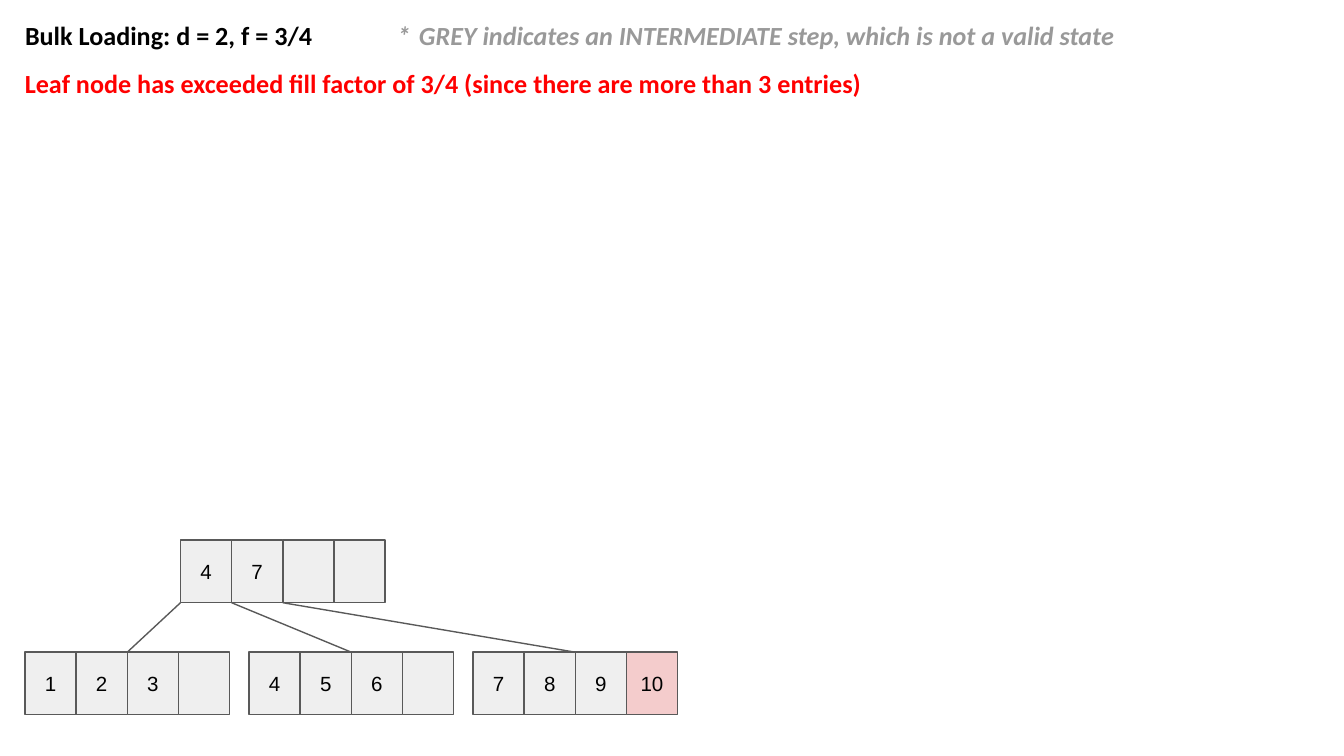
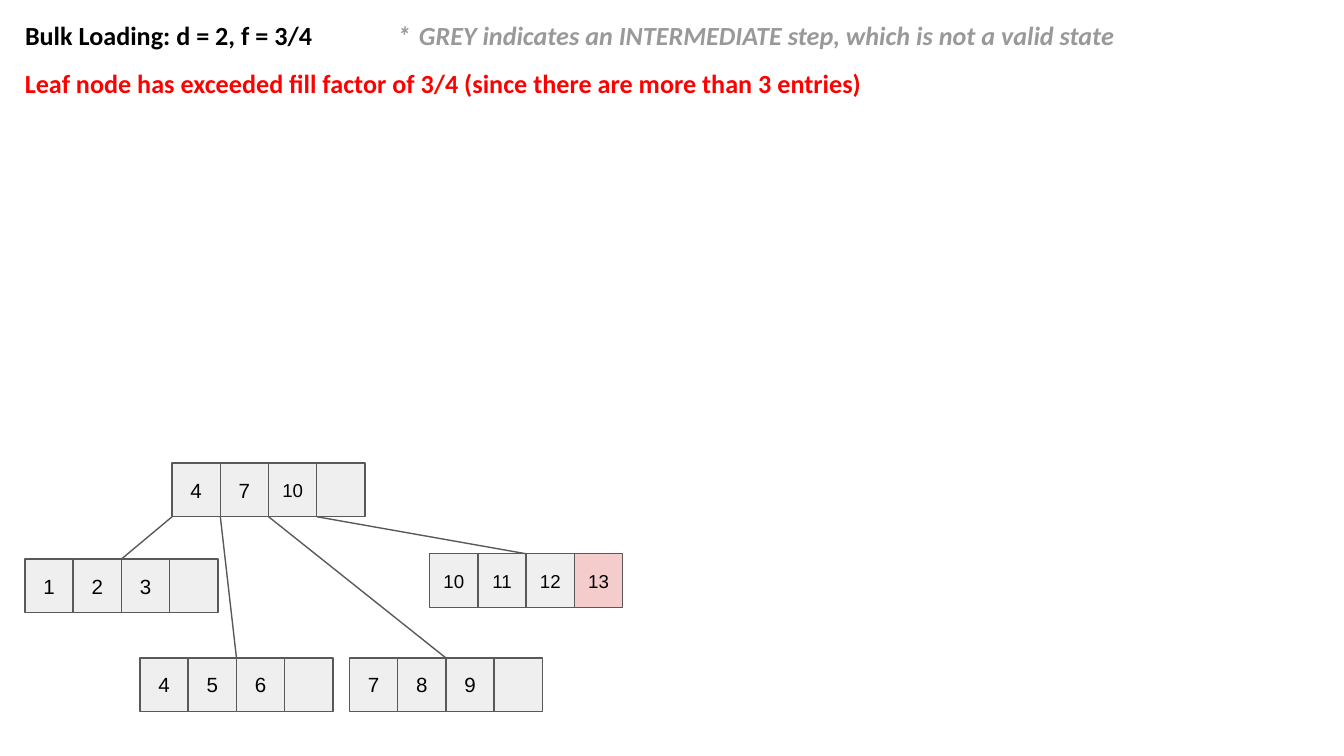
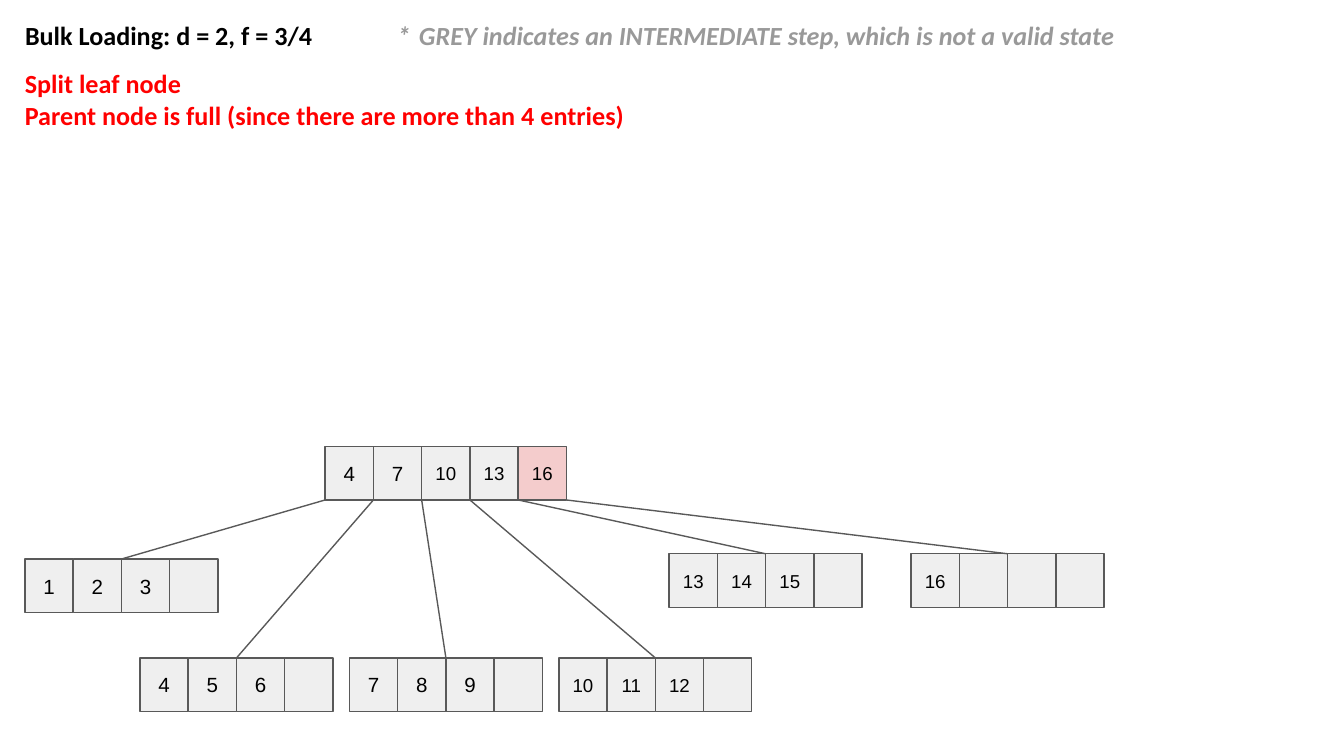
from lxml import etree
from pptx import Presentation
from pptx import util as u
from pptx.dml.color import RGBColor
from pptx.enum import shapes, text
from pptx.oxml.ns import qn

BLACK, GREY, RED = "000000", "999999", "FF0000"
CELL_FILL, OVERFLOW_FILL, OUTLINE = "EFEFEF", "F4CCCC", "595959"
HEADING = [
    ("Bulk Loading: d = 2, f = 3/4", BLACK, False),
    ("\t*\tGREY indicates an INTERMEDIATE step, which is not a valid state", GREY, True),
]
HEADING_TABS = [199.5, 211]
EXCEEDED = "Leaf node has exceeded fill factor of 3/4 (since there are more than 3 entries)"
LEAF_LEFT, LEAF_STEP = 13.4, 112.2
UPPER_LEAF, LOWER_LEAF = 299.5, 352.5

# Each node is (left, top, keys, overflowing key); the first is the parent.
TREES = [
    {
        "messages": [EXCEEDED],
        "cell": (27.4, 33.5),
        "two_digit_size": 11,
        "nodes": [
            (96.7, 289.4, ["4", "7", "", ""], None),
            (LEAF_LEFT, 349.4, ["1", "2", "3", ""], None),
            (LEAF_LEFT + 120, 349.4, ["4", "5", "6", ""], None),
            (LEAF_LEFT + 240, 349.4, ["7", "8", "9", "10"], "10"),
        ],
    },
    {
        "messages": [EXCEEDED],
        "cell": (25.85, 28.75),
        "two_digit_size": 10,
        "nodes": [
            (92.2, 248.1, ["4", "7", "10", ""], None),
            (LEAF_LEFT, UPPER_LEAF, ["1", "2", "3", ""], None),
            (75, LOWER_LEAF, ["4", "5", "6", ""], None),
            (75 + LEAF_STEP, LOWER_LEAF, ["7", "8", "9", ""], None),
            (230.2, 296.7, ["10", "11", "12", "13"], "13"),
        ],
    },
    {
        "messages": [
            "Split leaf node",
            "Parent node is full (since there are more than 4 entries)",
        ],
        "cell": (25.85, 28.75),
        "two_digit_size": 10,
        "nodes": [
            (174.2, 239.1, ["4", "7", "10", "13", "16"], "16"),
            (LEAF_LEFT, UPPER_LEAF, ["1", "2", "3", ""], None),
            (75, LOWER_LEAF, ["4", "5", "6", ""], None),
            (75 + LEAF_STEP, LOWER_LEAF, ["7", "8", "9", ""], None),
            (75 + 2 * LEAF_STEP, LOWER_LEAF, ["10", "11", "12", ""], None),
            (358.5, 296.7, ["13", "14", "15", ""], None),
            (488.1, 296.7, ["16", "", "", ""], None),
        ],
    },
]


def color(hex_code):
    return RGBColor.from_string(hex_code)


def prepare_frame(shape, anchor):
    frame = shape.text_frame
    frame.word_wrap = True
    frame.auto_size = text.MSO_AUTO_SIZE.NONE
    frame.vertical_anchor = anchor
    frame.margin_left = frame.margin_right = u.Pt(7.2)
    frame.margin_top = frame.margin_bottom = u.Pt(7.2)
    return frame


presentation = Presentation()
presentation.slide_width = u.Pt(720)
presentation.slide_height = u.Pt(405)
title_only = presentation.slide_layouts[5]

for tree in TREES:
    slide = presentation.slides.add_slide(title_only)

    title = slide.shapes.title
    title.left, title.top, title.width, title.height = (
        u.Pt(length) for length in (6.2, 3.4, 707, 25.5)
    )
    frame = prepare_frame(title, text.MSO_ANCHOR.TOP)
    paragraph = frame.paragraphs[0]
    paragraph.alignment = text.PP_ALIGN.LEFT
    tab_list = etree.SubElement(paragraph._p.get_or_add_pPr(), qn("a:tabLst"))
    for position in HEADING_TABS:
        etree.SubElement(tab_list, qn("a:tab"), pos=str(u.Pt(position)), algn="l")
    paragraph.font.name = "Calibri"
    paragraph.font.size = u.Pt(14)
    paragraph.font.bold = True
    for words, run_color, italic in HEADING:
        run = paragraph.add_run()
        run.text = words
        run.font.color.rgb = color(run_color)
        run.font.italic = italic

    message_box = slide.shapes.add_textbox(u.Pt(6.2), u.Pt(29), u.Pt(470), u.Pt(25.5))
    frame = prepare_frame(message_box, text.MSO_ANCHOR.TOP)
    frame.text = "\n".join(tree["messages"])
    for paragraph in frame.paragraphs:
        paragraph.font.name = "Calibri"
        paragraph.font.size = u.Pt(14)
        paragraph.font.bold = True
        paragraph.font.color.rgb = color(RED)

    cell_width, cell_height = tree["cell"]
    for left, top, keys, overflowing in tree["nodes"]:
        for index, key in enumerate(keys):
            cell = slide.shapes.add_shape(
                shapes.MSO_SHAPE.RECTANGLE,
                u.Pt(left + index * cell_width), u.Pt(top),
                u.Pt(cell_width), u.Pt(cell_height),
            )
            cell.shadow.inherit = False
            cell.fill.solid()
            is_overflow = key and key == overflowing
            cell.fill.fore_color.rgb = color(OVERFLOW_FILL if is_overflow else CELL_FILL)
            cell.line.color.rgb = color(OUTLINE)
            cell.line.width = u.Pt(0.75)
            if key:
                frame = prepare_frame(cell, text.MSO_ANCHOR.MIDDLE)
                frame.text = key
                paragraph = frame.paragraphs[0]
                paragraph.alignment = text.PP_ALIGN.CENTER
                paragraph.font.name = "Arial"
                paragraph.font.size = u.Pt(tree["two_digit_size"] if len(key) > 1 else 11)
                paragraph.font.color.rgb = color(BLACK)

    parent, *leaves = tree["nodes"]
    for index, leaf in enumerate(leaves):
        pointer = slide.shapes.add_connector(
            shapes.MSO_CONNECTOR.STRAIGHT,
            u.Pt(parent[0] + index * cell_width), u.Pt(parent[1] + cell_height),
            u.Pt(leaf[0] + 2 * cell_width), u.Pt(leaf[1]),
        )
        pointer.line.color.rgb = color(OUTLINE)
        pointer.line.width = u.Pt(0.75)
        etree.SubElement(pointer._element.spPr, qn("a:effectLst"))

presentation.save("out.pptx")
